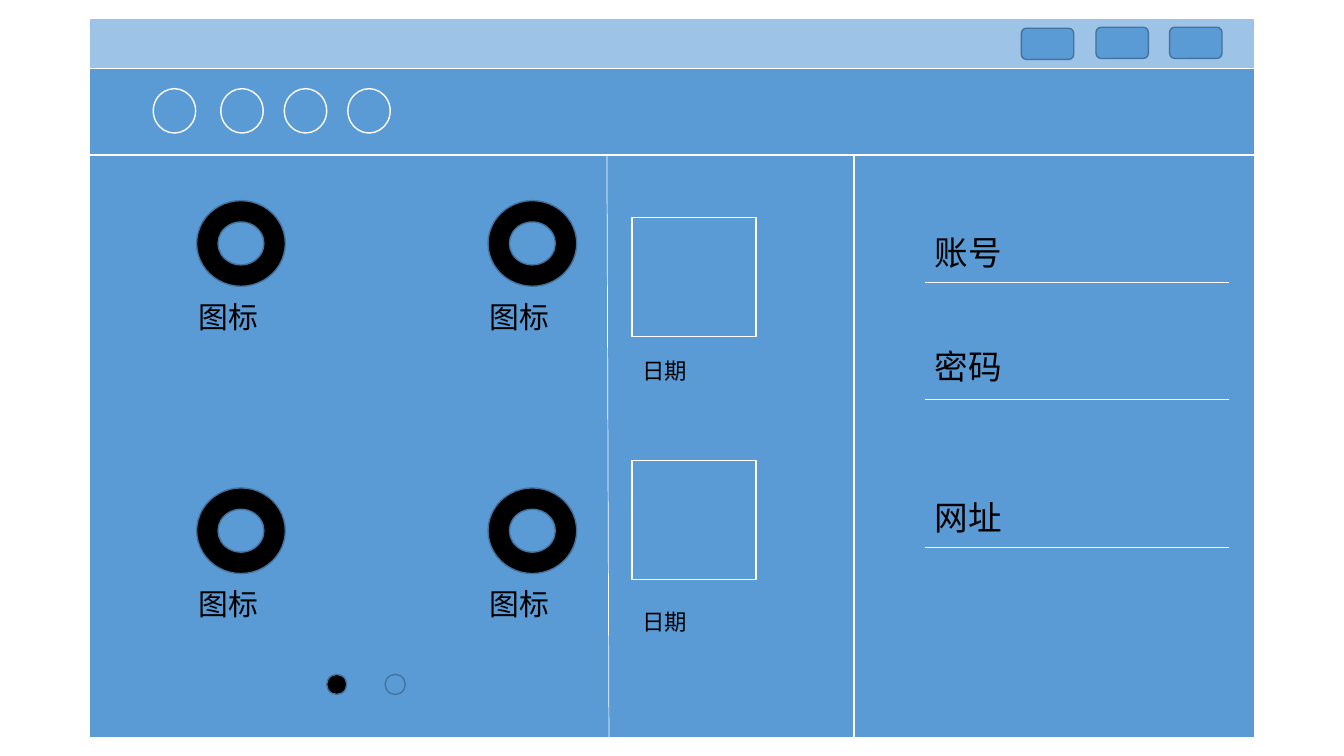
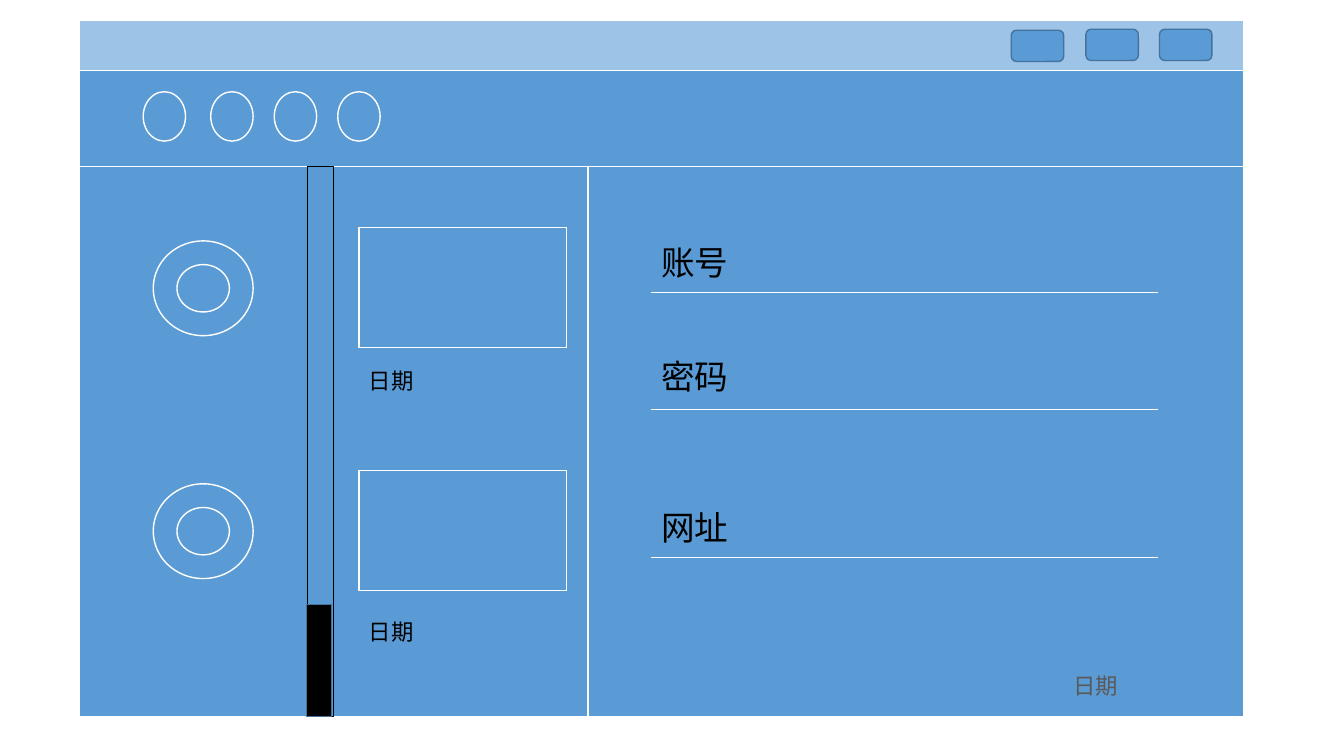
from dataclasses import dataclass

from lxml import etree
from pptx import Presentation
from pptx.dml.color import RGBColor
from pptx.enum.shapes import MSO_CONNECTOR, MSO_SHAPE as Shape
from pptx.oxml.ns import qn
from pptx.util import Emu, Pt

PX = 9144  # 100 px to the inch


@dataclass(frozen=True)
class Theme:
    font: str = "Noto Sans CJK SC"
    panel: str = "5B9BD5"
    bar: str = "9DC3E6"
    edge: str = "43739E"
    white: str = "FFFFFF"
    black: str = "000000"
    grey: str = "595959"
    icon_size: float = 21.3
    date_size: float = 16
    field_size: float = 24
    outline: float = 1
    rule: float = 0.5


THEME = Theme()

# Content shared by both slides: offsets from the window, first field or first frame
ICON, DATE = "图标", "日期"
FIELDS = [("账号", 0, 55), ("密码", 113, 171), ("网址", 263, 318)]
DATES = [(0, 133), (241, 382)]
BUTTONS = [(924, 10), (998, 9), (1071, 9)]
CIRCLES = [63, 130, 193, 256]
WIDTH, BAR_HEIGHT = 1155, 50

# Measures of each window
HOME = dict(left=89, top=18, bottom=732, bar_top=18, tools_height=86,
            circle_drop=20, circle_height=44,
            field_left=917, field_right=1219, field_top=225, field_width=107,
            frame=(627, 216, 123, 118), date_width=94)
DETAIL = dict(left=79, top=18, bottom=711, bar_top=20, tools_height=95,
              circle_drop=21, circle_height=49,
              field_left=646, field_right=1149, field_top=235, field_width=178,
              frame=(356, 226, 206, 119), date_width=157)

HOME_ICONS = [(x, y) for y in (199, 484) for x in (195, 484)]
HOME_PAGES = [(324, THEME.black), (382, THEME.panel)]
DETAIL_ICON_TOPS = [239, 480]


def px(*lengths):
    return [Emu(length * PX) for length in lengths]


def rgb(color):
    return RGBColor.from_string(color)


def draw(slide, kind, box, fill=THEME.panel, line=THEME.white):
    shape = slide.shapes.add_shape(kind, *px(*box))
    shape.shadow.inherit = False
    shape.fill.solid()
    shape.fill.fore_color.rgb = rgb(fill)
    shape.line.color.rgb = rgb(line)
    shape.line.width = Pt(THEME.outline)


def rule(slide, *ends):
    connector = slide.shapes.add_connector(MSO_CONNECTOR.STRAIGHT, *px(*ends))
    connector.line.color.rgb = rgb(THEME.white)
    connector.line.width = Pt(THEME.rule)
    etree.SubElement(connector._element.spPr, qn("a:effectLst"))


def label(slide, text, box, size, color=THEME.black):
    frame = slide.shapes.add_textbox(*px(*box)).text_frame
    frame.word_wrap = True
    paragraph = frame.paragraphs[0]
    paragraph.text = text
    font = paragraph.font
    font.name, font.size, font.color.rgb = THEME.font, Pt(size), rgb(color)
    # The East Asian face follows the Latin one
    etree.SubElement(font._element, qn("a:ea"), typeface=THEME.font)


def window(slide, m):
    """Backdrop, title bar with buttons, and toolbar; returns the body's top."""
    left, bar_top = m["left"], m["bar_top"]
    draw(slide, Shape.RECTANGLE,
         (left, m["top"], WIDTH, m["bottom"] - m["top"]), THEME.black)
    draw(slide, Shape.RECTANGLE, (left, bar_top, WIDTH, BAR_HEIGHT), THEME.bar)
    for x, y in BUTTONS:
        draw(slide, Shape.ROUNDED_RECTANGLE, (left + x, bar_top + y, 52, 31),
             line=THEME.edge)
    tools_top = bar_top + BAR_HEIGHT
    draw(slide, Shape.RECTANGLE, (left, tools_top, WIDTH, m["tools_height"]))
    for x in CIRCLES:
        draw(slide, Shape.OVAL, (left + x, tools_top + m["circle_drop"],
                                 42, m["circle_height"]))
    return tools_top + m["tools_height"]


def columns(slide, m, body_top, split):
    """Two body panels that meet at split."""
    right, height = m["left"] + WIDTH, m["bottom"] - body_top
    for start, end in ((m["left"], split), (split, right)):
        draw(slide, Shape.RECTANGLE, (start, body_top, end - start, height))


def dates_and_fields(slide, m):
    x, y, width, height = m["frame"]
    for frame_drop, caption_drop in DATES:
        draw(slide, Shape.RECTANGLE, (x, y + frame_drop, width, height))
        label(slide, DATE, (x, y + caption_drop, m["date_width"], 37),
              THEME.date_size)
    left, top = m["field_left"], m["field_top"]
    for name, name_drop, line_drop in FIELDS:
        label(slide, name, (left, top + name_drop, m["field_width"], 50),
              THEME.field_size)
        rule(slide, left, top + line_drop, m["field_right"], top + line_drop)


def build_home(slide):
    body_top = window(slide, HOME)
    columns(slide, HOME, body_top, 847)
    for x, y in HOME_ICONS:
        draw(slide, Shape.DONUT, (x, y, 88, 85), THEME.black, THEME.edge)
        label(slide, ICON, (x - 8, y + 92, 105, 46), THEME.icon_size)
    rule(slide, 602, body_top, 604, HOME["bottom"])
    dates_and_fields(slide, HOME)
    for x, fill in HOME_PAGES:
        draw(slide, Shape.OVAL, (x, 669, 20, 20), fill, THEME.edge)


def build_detail(slide):
    body_top, bottom = window(slide, DETAIL), DETAIL["bottom"]
    columns(slide, DETAIL, body_top, 583)
    rule(slide, 331, body_top, 331, bottom)
    for y in DETAIL_ICON_TOPS:
        draw(slide, Shape.DONUT, (152, y, 99, 94))
    dates_and_fields(slide, DETAIL)
    label(slide, DATE, (1055, 662, 157, 37), THEME.date_size, THEME.grey)
    # Scroll bar and its thumb
    draw(slide, Shape.RECTANGLE, (305, body_top, 26, bottom - body_top),
         line=THEME.black)
    draw(slide, Shape.RECTANGLE, (304, 600, 25, bottom - 600),
         THEME.black, THEME.edge)


def main():
    deck = Presentation()
    deck.slide_width, deck.slide_height = px(1333, 750)
    blank = deck.slide_layouts[6]
    for build in (build_home, build_detail):
        build(deck.slides.add_slide(blank))
    deck.save("out.pptx")


if __name__ == "__main__":
    main()
